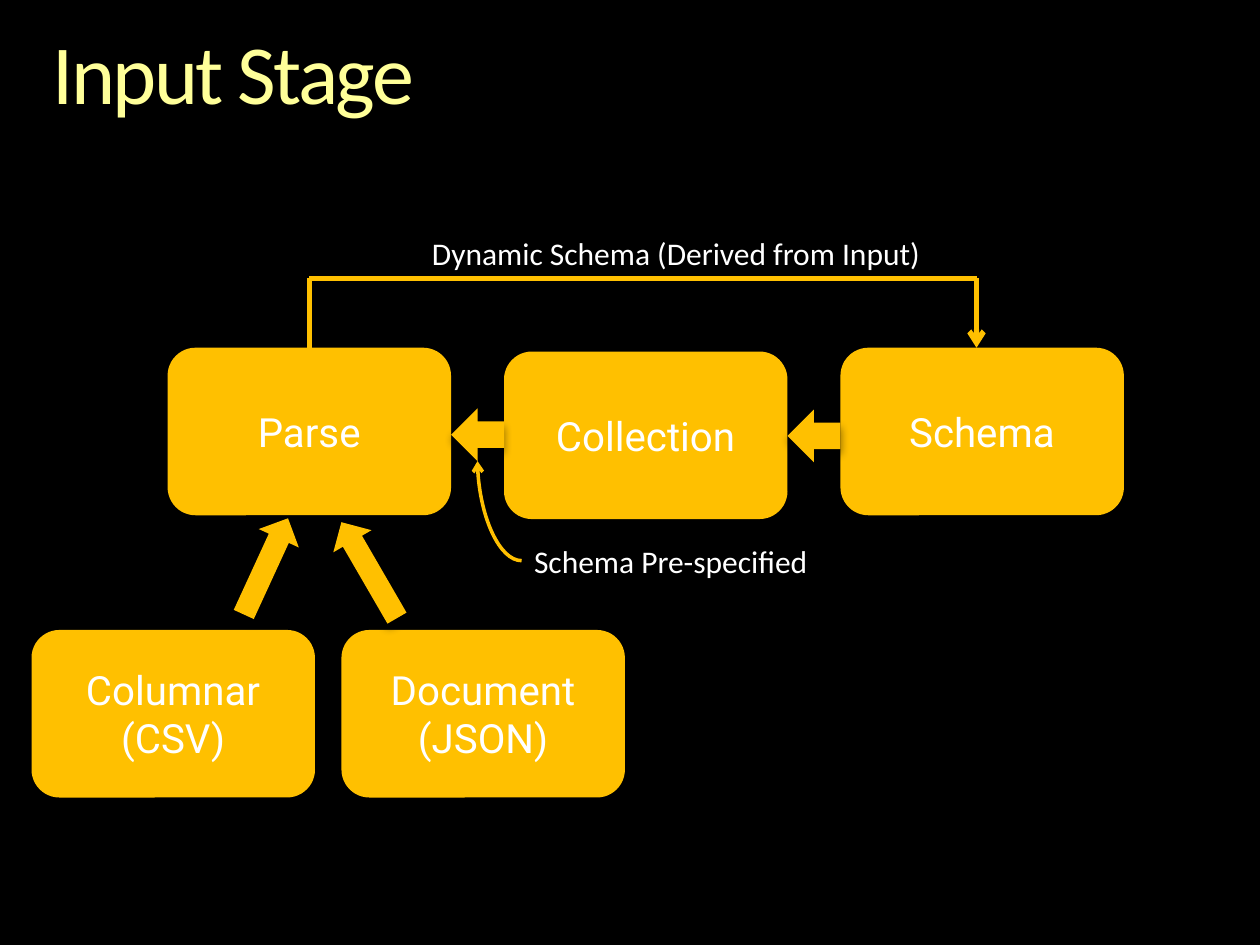
from dataclasses import dataclass
from lxml.etree import SubElement as Sub
from pptx import Presentation
from pptx.dml.color import RGBColor as RGB
from pptx.enum.shapes import MSO_CONNECTOR as Conn, MSO_SHAPE as Shape
from pptx.enum.text import MSO_ANCHOR as Anchor, PP_ALIGN as Align
from pptx.oxml.ns import qn
from pptx.util import Inches, Pt


@dataclass(frozen=True)
class Theme:
    back: RGB = RGB(0, 0, 0)
    gold: RGB = RGB(255, 192, 0)
    white: RGB = RGB(255, 255, 255)
    title: RGB = RGB(255, 255, 153)
    head: str = "Calibri"
    body: str = "Roboto"
    big: int = 48
    mid: int = 23
    small: int = 18


T = Theme()
BOX_W, BOX_H = 2.25, 1.33


def write(frame, text, font, size, color, align=Align.LEFT):
    para = frame.paragraphs[0]
    para.alignment = align
    for i, line in enumerate(text.split("\n")):
        if i:
            para.add_line_break()
        run = para.add_run()
        run.text = line
        run.font.name = font
        run.font.size = Pt(size)
        run.font.color.rgb = color
    return para


def shade(shape):
    shape.shadow.inherit = False
    glow = shape._element.spPr.find(qn("a:effectLst"))
    drop = Sub(glow, qn("a:outerShdw"), blurRad=str(Pt(5)), dist=str(Pt(3)),
               dir="5400000", algn="ctr", rotWithShape="0")
    tint = Sub(drop, qn("a:srgbClr"), val=str(T.back))
    Sub(tint, qn("a:alpha"), val="45000")


def solid(slide, kind, x, y, w, h):
    shape = slide.shapes.add_shape(kind, Inches(x), Inches(y), Inches(w), Inches(h))
    shape.fill.solid()
    shape.fill.fore_color.rgb = T.gold
    shape.line.fill.background()
    shade(shape)
    return shape


def node(slide, x, y, text):
    frame = solid(slide, Shape.ROUNDED_RECTANGLE, x, y, BOX_W, BOX_H).text_frame
    frame.word_wrap = True
    frame.vertical_anchor = Anchor.MIDDLE
    write(frame, text, T.body, T.mid, T.white, Align.CENTER)


def arrow(slide, x, y, w, h, turn=0):
    solid(slide, Shape.LEFT_ARROW, x, y, w, h).rotation = turn


def link(slide, start, end, width=3, tip=False, curve=False):
    kind = Conn.CURVE if curve else Conn.STRAIGHT
    line = slide.shapes.add_connector(kind, *map(Inches, start + end))
    line.line.color.rgb = T.gold
    line.line.width = Pt(width)
    props = line._element.spPr
    if tip:
        Sub(props.find(qn("a:ln")), qn("a:tailEnd"), type="arrow")
    if curve:
        props.find(qn("a:prstGeom")).set("prst", "curvedConnector2")
    Sub(props, qn("a:effectLst"))


def label(slide, x, y, w, text):
    box = slide.shapes.add_textbox(Inches(x), Inches(y), Inches(w), Inches(0.4))
    box.text_frame.word_wrap = False
    write(box.text_frame, text, T.head, T.small, T.white)


def title(slide, x, y, w, h, text):
    frame = slide.shapes.add_textbox(*map(Inches, (x, y, w, h))).text_frame
    frame.word_wrap = True
    frame.margin_left = frame.margin_right = 0
    frame.margin_top = frame.margin_bottom = 0
    para = write(frame, text, T.head, T.big, T.title)
    para.line_spacing = 0.9
    para.runs[0].font._element.set("spc", "-150")


def flow(slide, x, y):
    step = 2.67
    names = (("Parse", 0), ("Collection", 0.03), ("Schema", 0))
    for i, (name, drop) in enumerate(names):
        node(slide, x + i * step, y + drop, name)
    for i in range(2):
        arrow(slide, x + i * step + BOX_W, y + 0.48 + i * 0.01, 0.42, 0.42)
    left, right, top = x + BOX_W / 2, x + 2 * step + 1.08, y - 0.55
    link(slide, (left, y), (left, top))
    link(slide, (left, top), (right, top))
    link(slide, (right, top), (right, y), tip=True)
    label(slide, x + 2, top - 0.4, 4.12, "Dynamic Schema (Derived from Input)")
    label(slide, x + 2.81, y + 1.49, 2.4, "Schema Pre-specified")
    link(slide, (x + 2.81, y + 1.69), (x + 2.46, y + 0.9), 2, True, True)


def inputs(slide, x, y):
    for i, name in enumerate(("Columnar\n(CSV)", "Document\n(JSON)")):
        node(slide, x + i * 2.46, y, name)
    arrow(slide, x + 1.44, y - 0.68, 0.84, 0.35, 114.7)
    arrow(slide, x + 2.24, y - 0.65, 0.88, 0.35, 59.9)


def main():
    deck = Presentation()
    deck.slide_width, deck.slide_height = Inches(10), Inches(7.5)
    slide = deck.slides.add_slide(deck.slide_layouts[6])
    slide.background.fill.solid()
    slide.background.fill.fore_color.rgb = T.back
    title(slide, 0.42, 0.25, 9.17, 0.73, "Input Stage")
    flow(slide, 1.33, 2.76)
    inputs(slide, 0.25, 5)
    deck.save("out.pptx")


main()
